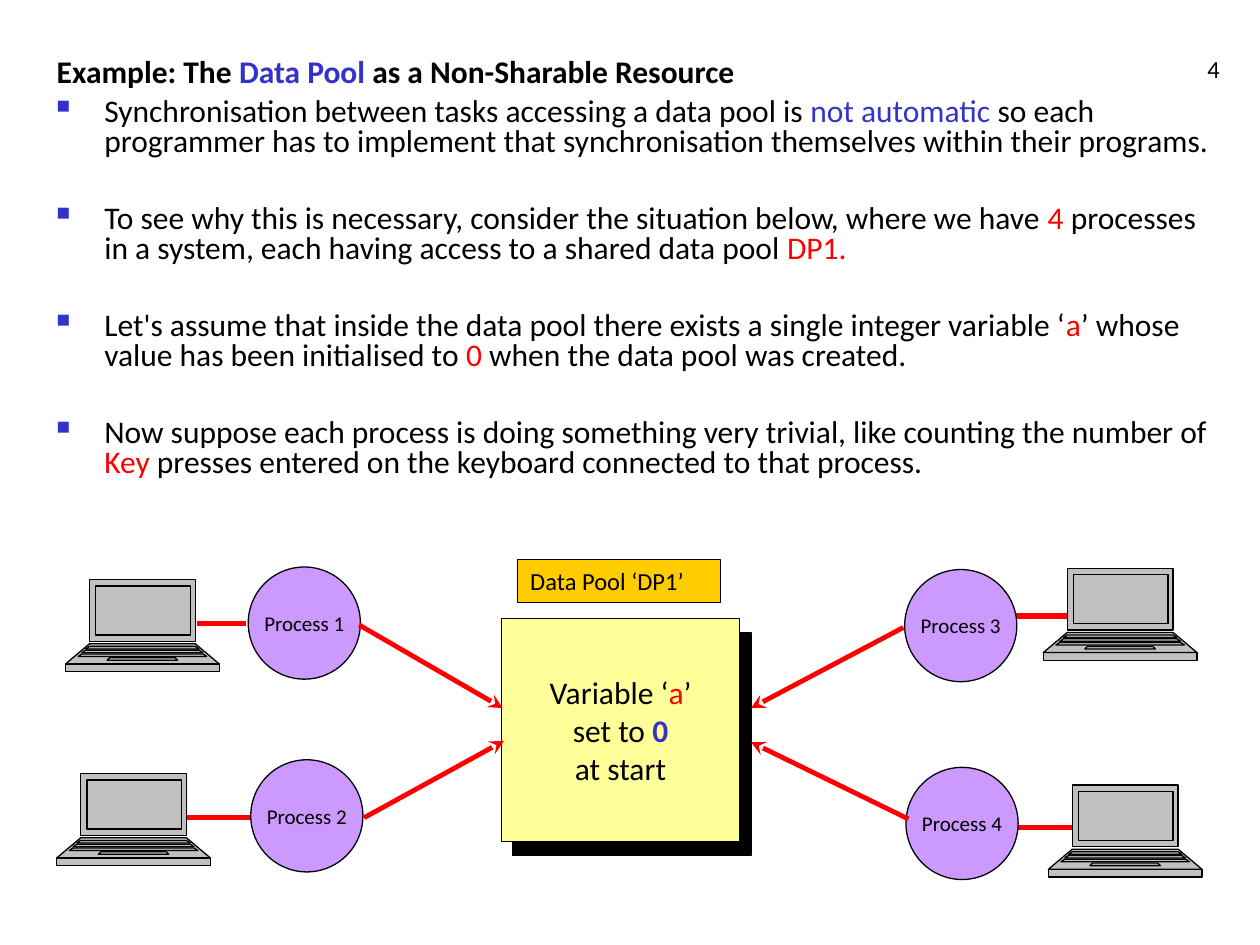
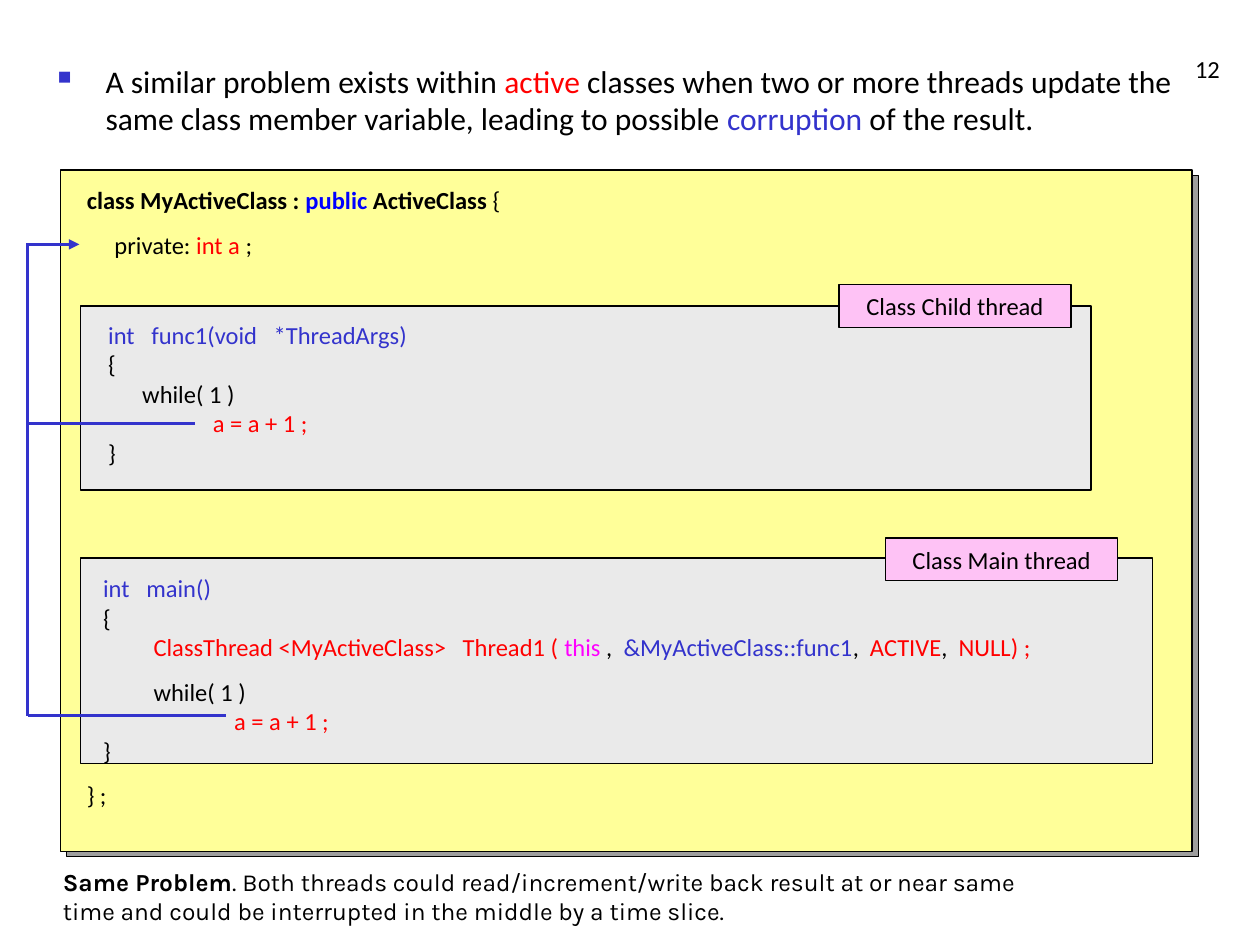
"""Build two slides on synchronising access to shared data."""
from lxml.etree import SubElement
from pptx import Presentation
from pptx.dml.color import RGBColor
from pptx.enum.shapes import MSO_CONNECTOR, MSO_SHAPE
from pptx.enum.text import MSO_ANCHOR as ANCHOR, MSO_AUTO_SIZE, PP_ALIGN as ALIGN
from pptx.oxml.ns import qn
from pptx.util import Inches, Pt

BLACK = RGBColor(0x00, 0x00, 0x00)
BLUE = RGBColor(0x33, 0x33, 0xCC)
KEYWORD = RGBColor(0x00, 0x00, 0xFF)
RED = RGBColor(0xFF, 0x00, 0x00)
MAGENTA = RGBColor(0xFF, 0x00, 0xFF)
YELLOW = RGBColor(0xFF, 0xFF, 0x99)
AMBER = RGBColor(0xFF, 0xCC, 0x00)
VIOLET = RGBColor(0xCC, 0x99, 0xFF)
PINK = RGBColor(0xFE, 0xC2, 0xF5)
SILVER = RGBColor(0xC0, 0xC0, 0xC0)
PALE = RGBColor(0xEA, 0xEA, 0xEA)
GREY = RGBColor(0x9E, 0x9E, 0x9E)
BODY_FONT, NOTE_FONT = "Calibri", "Karla"
OUTLINE = 0.74

HEADING = [("Example: The ", BLACK), ("Data Pool", BLUE), (" as a Non-Sharable Resource", BLACK)]
POOL_BULLETS = [
    [("Synchronisation between tasks accessing a data pool is ", BLACK), ("not automatic", BLUE),
     (" so each programmer has to implement that synchronisation themselves within their programs.", BLACK)],
    [("To see why this is necessary, consider the situation below, where we have ", BLACK), ("4", RED),
     (" processes in a system, each having access to a shared data pool ", BLACK), ("DP1.", RED)],
    [("Let's assume that inside the data pool there exists a single integer variable ‘", BLACK), ("a", RED),
     ("’ whose value has been initialised to ", BLACK), ("0", RED),
     (" when the data pool was created.", BLACK)],
    [("Now suppose each process is doing something very trivial, like counting the number of ", BLACK),
     ("Key ", RED), ("presses entered on the keyboard connected to that process.", BLACK)],
]
POOL_STATE = [
    [("Variable ‘", BLACK), ("a", RED), ("’", BLACK)],
    [("set to ", BLACK), ("0", BLUE, True)],
    [("at start", BLACK)],
]
PROCESSES = [
    dict(name="Process 1", circle=(1.97, 4.5), laptop=(0.52, 4.6),
         link=(1.56, 4.95, 1.95, 4.95), arrow=(2.85, 4.96, 3.99, 5.62)),
    dict(name="Process 2", circle=(1.99, 6.03), laptop=(0.45, 6.14),
         link=(1.48, 6.49, 2.01, 6.49), arrow=(2.89, 6.49, 4, 5.88)),
    dict(name="Process 3", circle=(7.18, 4.52), laptop=(8.28, 4.51),
         link=(8.04, 4.89, 8.47, 4.89), arrow=(7.17, 4.98, 5.96, 5.62)),
    dict(name="Process 4", circle=(7.19, 6.09), laptop=(8.32, 6.23),
         link=(8.08, 6.57, 8.52, 6.57), arrow=(7.21, 6.5, 5.96, 5.89)),
]
# Each laptop panel: left, right, top, bottom, flare at the bottom, in hundredths of an inch.
LAPTOP_BODY = [(19, 103, 0, 49, 0), (19, 103, 51, 67, 19), (0, 122, 67, 73, 0)]
LAPTOP_DETAIL = [(24, 99, 5, 44, 0), (19, 103, 53, 55, 3), (16, 106, 56, 58, 3),
                 (13, 109, 59, 61, 3), (35, 87, 62, 64, 2)]

CLASS_BULLET = [
    ("A similar problem exists within ", BLACK), ("active", RED),
    (" classes when two or more threads update the same class member variable, leading to possible ", BLACK),
    ("corruption", BLUE), (" of the result.", BLACK)]
LINE_GAP = 8.8
BLANK_LINE = 25.9
CODE = [
    (0, 0, [("class MyActiveClass : ", BLACK, True), ("public", KEYWORD, True),
            (" ActiveClass", BLACK, True), (" {", BLACK)]),
    (0.22, LINE_GAP, [("private: ", BLACK), ("int a", RED), (" ;", BLACK)]),
    (0.17, LINE_GAP + BLANK_LINE, [("int   func1(void   *ThreadArgs)", BLUE)]),
    (0.17, 0, [("{", BLACK)]),
    (0.44, 0, [("while( 1 )", BLACK)]),
    (1, 0, [("a = a + 1 ;", RED)]),
    (0.17, 0, [("}", BLACK)]),
    (0.13, LINE_GAP + 2 * BLANK_LINE, [("int   main()", BLUE)]),
    (0.13, 0, [("{", BLACK)]),
    (0.53, 0, [("ClassThread <MyActiveClass>   Thread1 ( ", RED), ("this", MAGENTA), (" ,  ", BLACK),
               ("&MyActiveClass::func1", BLUE), (",", BLACK), ("  ACTIVE", RED), (",", BLACK),
               ("  NULL) ;", RED)]),
    (0.53, LINE_GAP, [("while( 1 )", BLACK)]),
    (1.17, 0, [("a = a + 1 ;", RED)]),
    (0.13, 0, [("}", BLACK)]),
    (0, LINE_GAP, [("} ;", BLACK)]),
]
THREADS = [
    ("Class Main thread", (0.64, 4.43, 8.51, 1.63), (7.03, 4.27)),
    ("Class Child thread", (0.64, 2.43, 8.02, 1.46), (6.66, 2.26)),
]
ACCESS_LINES = [(0.22, 3.36, 1.55, 3.36), (0.22, 5.68, 0.22, 1.94), (0.22, 5.68, 1.79, 5.68)]
ACCESS_ARROW = (0.21, 1.94, 0.63, 1.94)
CLOSING_NOTE = [
    ("Same Problem", BLACK, True),
    (". Both threads could read/increment/write back result at or near same time "
     "and could be interrupted in the middle by a time slice.", BLACK)]


def write(paragraph, runs, size, font=BODY_FONT, align=ALIGN.LEFT, before=0):
    paragraph.font.name, paragraph.font.size = font, Pt(size)
    paragraph.alignment, paragraph.space_before = align, Pt(before)
    for text, colour, *bold in runs:
        run = paragraph.add_run()
        run.text = text
        run.font.color.rgb = colour
        if bold:
            run.font.bold = True


def indent(paragraph, left, first=0):
    properties = paragraph._p.get_or_add_pPr()
    properties.set("marL", str(Inches(left)))
    properties.set("indent", str(Inches(first)))
    return properties


def add_bullet(paragraph):
    properties = indent(paragraph, 0.38, -0.38)
    SubElement(SubElement(properties, qn("a:buClr")), qn("a:srgbClr")).set("val", str(BLUE))
    SubElement(properties, qn("a:buSzPct")).set("val", "60000")
    SubElement(properties, qn("a:buChar")).set("char", "■")


def paragraphs(frame, count):
    return [frame.paragraphs[0]] + [frame.add_paragraph() for _ in range(count - 1)]


def add_text(slide, box, anchor=ANCHOR.TOP):
    frame = slide.shapes.add_textbox(*map(Inches, box)).text_frame
    frame.word_wrap, frame.vertical_anchor = True, anchor
    return frame


def paint(shape, fill):
    shape.shadow.inherit = False
    shape.fill.solid()
    shape.fill.fore_color.rgb = fill
    shape.line.color.rgb = BLACK
    shape.line.width = Pt(OUTLINE)


def add_block(slide, box, fill, lines=(), size=14, align=ALIGN.CENTER, kind=MSO_SHAPE.RECTANGLE, wrap=True):
    block = slide.shapes.add_shape(kind, *map(Inches, box))
    paint(block, fill)
    if lines:
        frame = block.text_frame
        frame.word_wrap, frame.vertical_anchor = wrap, ANCHOR.MIDDLE
        for paragraph, runs in zip(paragraphs(frame, len(lines)), lines):
            write(paragraph, runs, size, align=align)


def add_line(slide, ends, colour, width, arrowhead=None):
    line = slide.shapes.add_connector(MSO_CONNECTOR.STRAIGHT, *map(Inches, ends))
    line.line.color.rgb = colour
    line.line.width = Pt(width)
    if arrowhead:
        SubElement(line.line._get_or_add_ln(), qn("a:tailEnd")).set("type", arrowhead)
    SubElement(line._element.spPr, qn("a:effectLst"))


def add_laptop(slide, left, top):
    laptop = slide.shapes.add_group_shape()
    for panels in (LAPTOP_BODY, LAPTOP_DETAIL):
        builder = None
        for x1, x2, y1, y2, flare in panels:
            if builder is None:
                builder = laptop.shapes.build_freeform(x1, y1, scale=Inches(0.01))
            else:
                builder.move_to(x1, y1)
            builder.add_line_segments([(x2, y1), (x2 + flare, y2), (x1 - flare, y2)], close=True)
        paint(builder.convert_to_shape(Inches(left), Inches(top)), SILVER)


def add_slide(deck, layout, number):
    slide = deck.slides.add_slide(deck.slide_layouts.get_by_name(layout))
    frame = add_text(slide, (7.7, 0.21, 2.08, 0.5), ANCHOR.BOTTOM)
    write(frame.paragraphs[0], [(number, BLACK)], 14, align=ALIGN.RIGHT)
    return slide


def build_pool_slide(deck):
    slide = add_slide(deck, "Title Only", "4")
    title = slide.shapes.title
    title.left, title.top, title.width, title.height = map(Inches, (0.35, 0.42, 7.3, 0.35))
    frame = title.text_frame
    frame.auto_size, frame.vertical_anchor = MSO_AUTO_SIZE.NONE, ANCHOR.TOP
    heading = frame.paragraphs[0]
    write(heading, HEADING, 18)
    heading.font.bold, heading.line_spacing = True, 0.8

    frame = add_text(slide, (0.35, 0.73, 9.4, 3.3))
    for i, (paragraph, runs) in enumerate(zip(paragraphs(frame, len(POOL_BULLETS)), POOL_BULLETS)):
        add_bullet(paragraph)
        write(paragraph, runs, 18, before=26.5 if i else 0)
        paragraph.line_spacing = 0.8

    for process in PROCESSES:
        add_line(slide, process["link"], RED, 3)
    add_block(slide, (4.07, 5.02, 1.89, 1.77), BLACK)
    add_block(slide, (3.98, 4.91, 1.89, 1.77), YELLOW, POOL_STATE, 18, wrap=False)
    add_block(slide, (4.11, 4.44, 1.61, 0.34), AMBER, [[("Data Pool ‘DP1’", BLACK)]], align=ALIGN.LEFT)
    for process in PROCESSES:
        add_block(slide, (*process["circle"], 0.89, 0.89), VIOLET, [[(process["name"], BLACK)]], 12,
                  kind=MSO_SHAPE.OVAL, wrap=False)
        add_line(slide, process["arrow"], RED, 2.75, "stealth")
        add_laptop(slide, *process["laptop"])


def build_class_slide(deck):
    slide = add_slide(deck, "Blank", "12")
    add_block(slide, (0.53, 1.39, 8.98, 5.41), GREY)
    add_block(slide, (0.48, 1.35, 8.98, 5.41), YELLOW)
    bullet = add_text(slide, (0.36, 0.44, 9.44, 0.8)).paragraphs[0]
    add_bullet(bullet)
    write(bullet, CLASS_BULLET, 18)

    for _, body, _ in THREADS:
        add_block(slide, body, PALE)
    frame = add_text(slide, (0.59, 1.42, 9.21, 5.04))
    for paragraph, (left, before, runs) in zip(paragraphs(frame, len(CODE)), CODE):
        indent(paragraph, left)
        write(paragraph, runs, 14, before=before)

    for ends in ACCESS_LINES:
        add_line(slide, ends, BLUE, 1.5)
    add_line(slide, ACCESS_ARROW, BLUE, 1.5, "triangle")
    for name, _, label in THREADS:
        add_block(slide, (*label, 1.84, 0.34), PINK, [[(name, BLACK)]])
    note = add_text(slide, (0.4, 6.83, 7.92, 0.57)).paragraphs[0]
    write(note, CLOSING_NOTE, 14, NOTE_FONT)


deck = Presentation()
deck.slide_width, deck.slide_height = Inches(10), Inches(7.5)
build_pool_slide(deck)
build_class_slide(deck)
deck.save("out.pptx")
